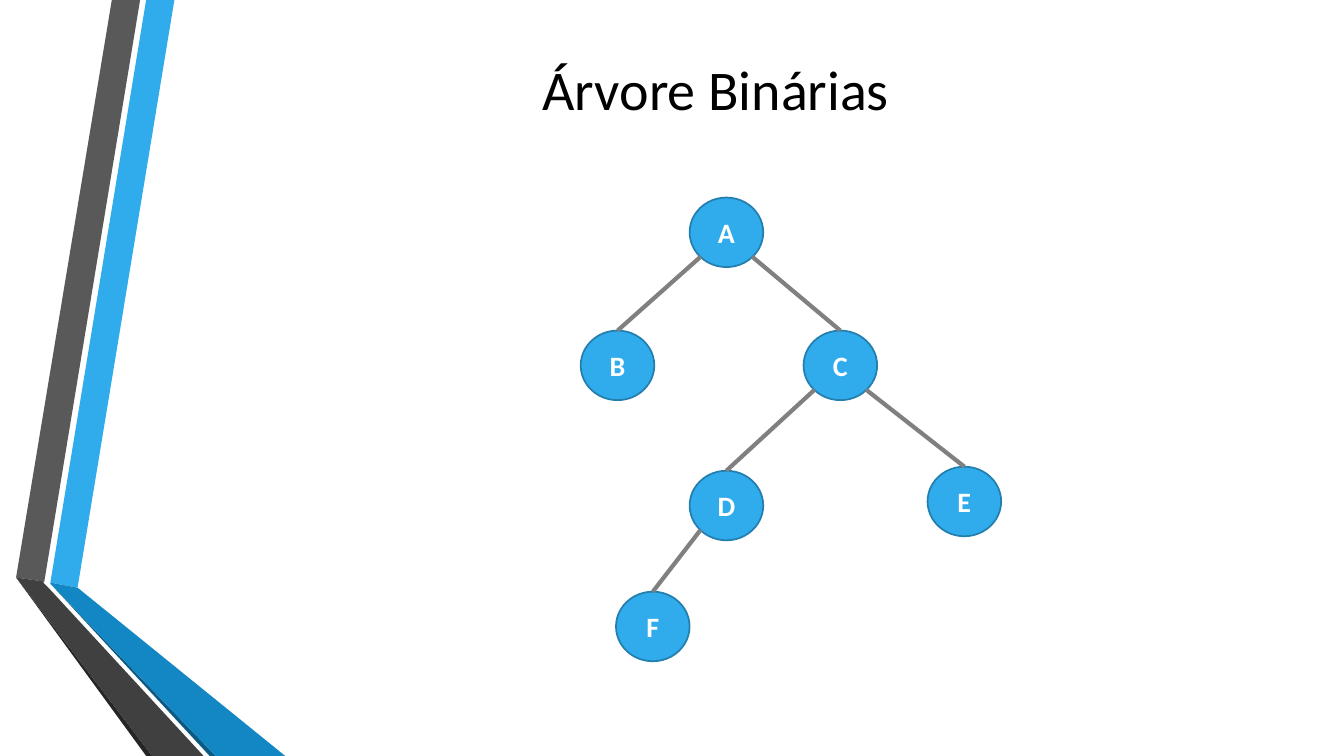
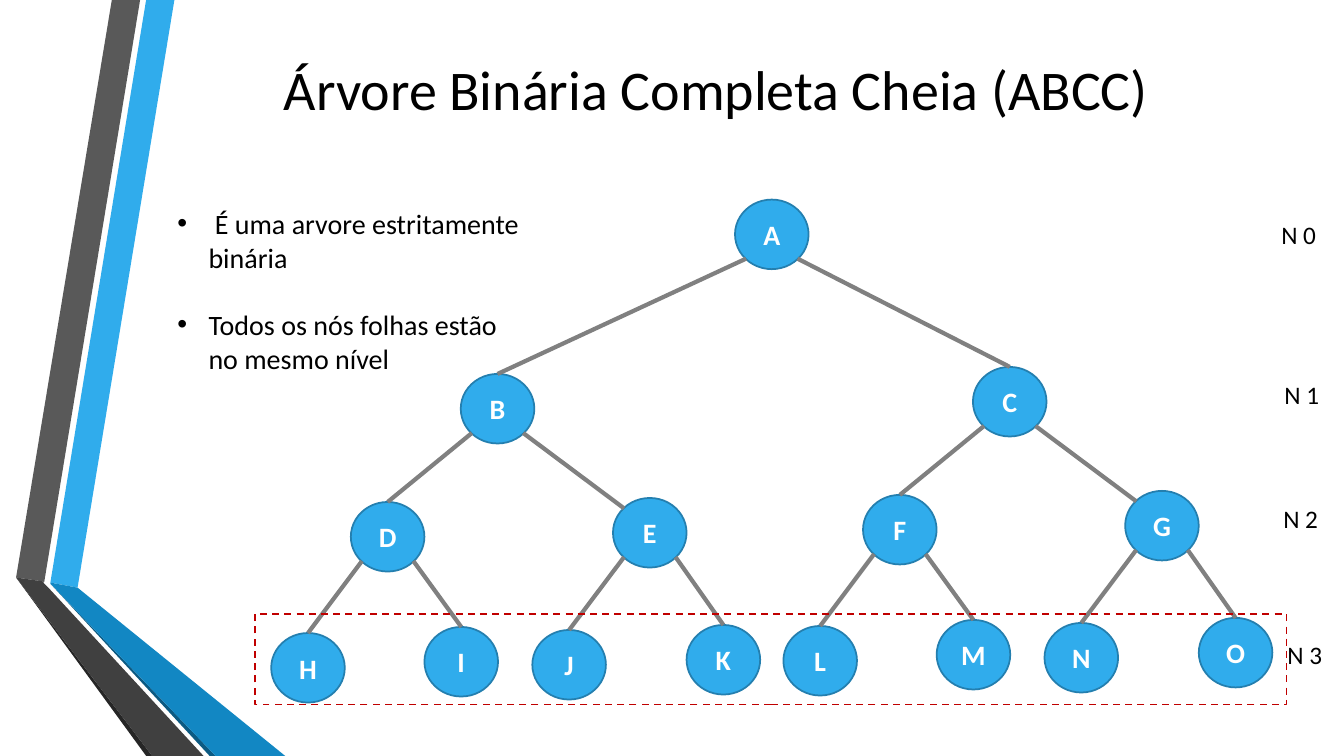
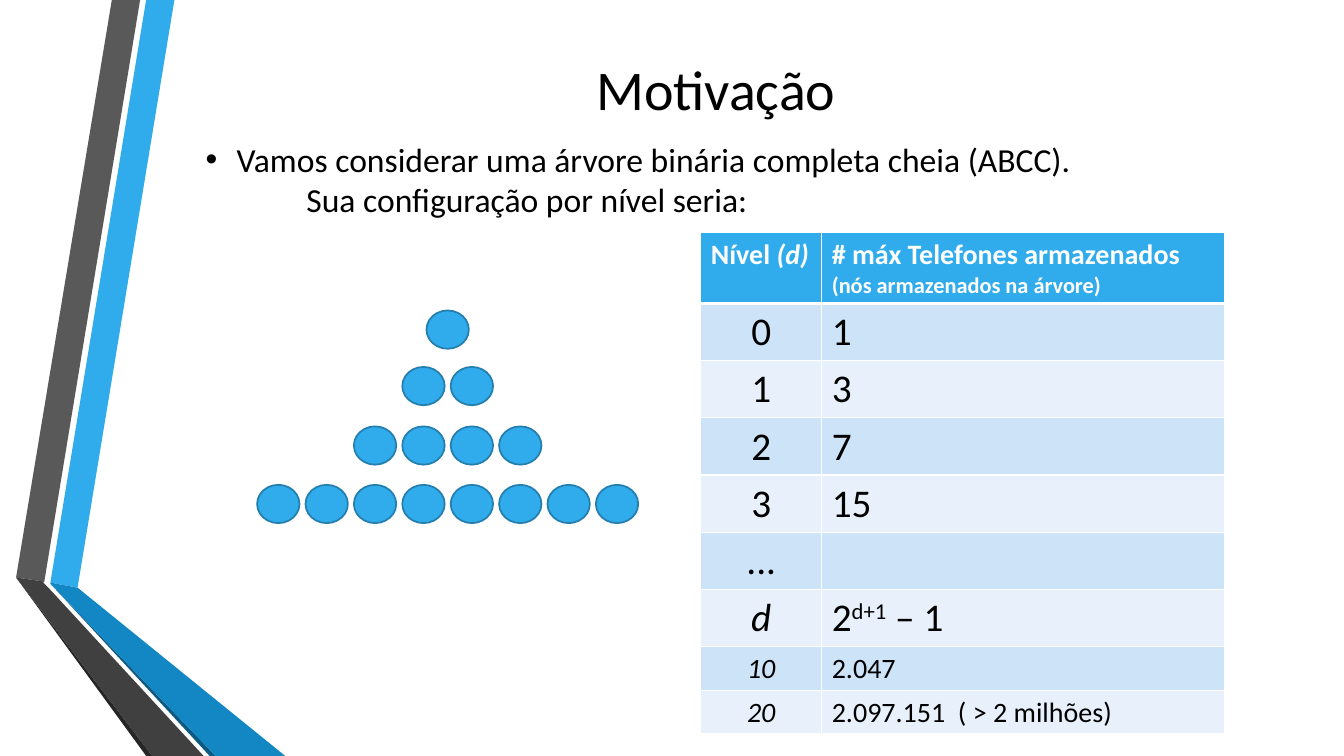
from lxml.etree import SubElement
from pptx import Presentation
from pptx.dml.color import RGBColor
from pptx.enum.dml import MSO_LINE
from pptx.enum.shapes import MSO_CONNECTOR, MSO_SHAPE
from pptx.enum.text import MSO_ANCHOR, PP_ALIGN
from pptx.oxml.ns import qn
from pptx.util import Inches, Pt

FONT = "Calibri"
BLUE, BLUE_EDGE, GRAY = "30ACEC", "247FAF", "808080"
BLACK, WHITE, RED = "000000", "FFFFFF", "C00000"
ROW_FILLS = ["E8F1FB", "CDE3F8"]
NODE_W, NODE_H = 0.73, 0.69
CORNER = 0.35
DOT_W, DOT_H, DOT_STEP = 0.42, 0.38, 0.48
DOT_ROWS = [0, 0.56, 1.15, 1.73]

BANDS = [
    (BLUE, [(0.5, 5.78), (0.77, 5.83), (1.73, 0), (1.45, 0)]),
    ("595959", [(1.39, 0), (1.11, 0), (0.16, 5.73), (0.44, 5.77)]),
    ("262626", [(0.16, 5.73), (1.45, 7.5), (1.51, 7.5)]),
    ("0C5A82", [(0.5, 5.79), (2.08, 7.5), (2.14, 7.5)]),
    ("1287C3", [(0.5, 5.78), (0.5, 5.79), (2.14, 7.5), (2.83, 7.5),
                (0.77, 5.83)]),
    ("404040", [(2.02, 7.5), (0.48, 5.83), (0.43, 5.78), (0.44, 5.77),
                (0.16, 5.73), (1.51, 7.5)]),
]

SMALL_TREE = {"A": (0, 0), "B": (-1.08, 1.32), "C": (1.13, 1.32),
              "D": (0, 2.71), "E": (2.36, 2.67), "F": (-0.73, 3.91)}
HALF_TREE = [(0, 0), (-1.09, 1.27), (1.51, 1.23), (-1.88, 2.57),
             (-0.36, 2.51), (0.71, 2.54), (2.24, 2.49)]
HALVES = [("BDEHIJK", -2.72, 1.73), ("CFGLMNO", 2.36, 1.66)]
LEVELS = [("N 0", 0, 0), ("N 1", 0.03, 1.58), ("N 2", 0.02, 2.81),
          ("N 3", 0.06, 4.16)]

ITALIC = {"italic": True}
LARGE, MEDIUM = {"size": Pt(28)}, {"size": Pt(20)}
HEADER = [
    [[("Nível ", {}), ("(d)", ITALIC)]],
    [[("# máx Telefones armazenados", {})],
     [("(nós armazenados na árvore)", {"size": Pt(16)})]],
]
ROWS = [
    ("0", [("1", {})], LARGE),
    ("1", [("3", {})], LARGE),
    ("2", [("7", {})], LARGE),
    ("3", [("15", {})], LARGE),
    ("...", [], LARGE),
    ("d", [("2", {}), ("d+1", {"baseline": 30000}), (" – 1", {})], LARGE),
    ("10", [("2.047", {})], MEDIUM),
    ("20", [("2.097.151  ( > 2 milhões)", {})], MEDIUM),
]


def rgb(value):
    """Turn a hex string into a colour."""
    return RGBColor.from_string(value)


def add_run(p, text, color=BLACK, baseline=None, **font):
    """Add one formatted run to a paragraph."""
    r = p.add_run()
    r.text = text
    r.font.color.rgb = rgb(color)
    for key, value in {"name": FONT, "bold": False, **font}.items():
        setattr(r.font, key, value)
    if baseline:
        r._r.get_or_add_rPr().set("baseline", str(baseline))


def write(tf, paragraphs, align=PP_ALIGN.LEFT, **base):
    """Fill a text frame with paragraphs made of (text, format) runs."""
    for i, runs in enumerate(paragraphs):
        p = tf.add_paragraph() if i else tf.paragraphs[0]
        p.alignment = align
        for text, font in runs:
            add_run(p, text, **{**base, **font})


def add_text(s, box, lines, wrap=True, anchor=MSO_ANCHOR.TOP, **base):
    """Add a text box with one paragraph for each line."""
    tf = s.shapes.add_textbox(*map(Inches, box)).text_frame
    tf.word_wrap = wrap
    tf.vertical_anchor = anchor
    write(tf, [[(line, {})] for line in lines], **base)
    return tf


def indent(p, left, bullet=False):
    """Indent a paragraph, with a hanging bullet if wanted."""
    pPr = p._p.get_or_add_pPr()
    pPr.set("marL", str(Inches(left)))
    if bullet:
        pPr.set("indent", str(-Inches(left)))
        SubElement(pPr, qn("a:buFont")).set("typeface", "Arial")
        SubElement(pPr, qn("a:buChar")).set("char", "•")


def add_outline(s, kind, box, line, fill=None):
    """Add a preset shape with a thin outline and an optional fill."""
    sp = s.shapes.add_shape(kind, *map(Inches, box))
    sp.shadow.inherit = False
    sp.line.color.rgb = rgb(line)
    sp.line.width = Pt(1.25)
    if fill:
        sp.fill.solid()
        sp.fill.fore_color.rgb = rgb(fill)
    else:
        sp.fill.background()
    return sp


def add_node(s, label, left, top):
    """Add a labelled tree node."""
    sp = add_outline(s, MSO_SHAPE.OVAL, (left, top, NODE_W, NODE_H),
                     BLUE_EDGE, BLUE)
    tf = sp.text_frame
    for side in ("left", "top", "right", "bottom"):
        setattr(tf, f"margin_{side}", 0)
    tf.vertical_anchor = MSO_ANCHOR.MIDDLE
    write(tf, [[(label, {})]], PP_ALIGN.CENTER,
          size=Pt(20), bold=True, color=WHITE)
    return sp


def add_edge(s, parent, child, to_corner):
    """Join a parent's lower corner to its child's top or upper left corner."""
    side = -CORNER if child.left < parent.left else CORNER
    x = parent.left + int(parent.width * (0.5 + side))
    y = parent.top + int(parent.height * (0.5 + CORNER))
    end_x = child.left + int(child.width * (0.5 - CORNER))
    end_y = child.top + int(child.height * (0.5 - CORNER))
    line = s.shapes.add_connector(MSO_CONNECTOR.STRAIGHT, x, y, end_x, end_y)
    if not to_corner:
        line.end_connect(child, 0)
    line.line.color.rgb = rgb(GRAY)
    line.line.width = Pt(3)
    SubElement(line._element.spPr, qn("a:effectLst"))


def add_tree(s, left, top, offsets, edges, corners=()):
    """Draw a tree whose root sits at the given place."""
    nodes = {label: add_node(s, label, left + dx, top + dy)
             for label, (dx, dy) in offsets.items()}
    for edge in edges:
        add_edge(s, nodes[edge[0]], nodes[edge[1]], edge in corners)


def add_pyramid(s, center, top):
    """Draw rows of dots that double in number at each level."""
    for level, dy in enumerate(DOT_ROWS):
        count = 2 ** level
        left = center - ((count - 1) * DOT_STEP + DOT_W) / 2
        for i in range(count):
            box = (left + i * DOT_STEP, top + dy, DOT_W, DOT_H)
            add_outline(s, MSO_SHAPE.OVAL, box, BLUE_EDGE, BLUE)


def style_cell(cell, fill, top, bottom):
    """Give a table cell white borders and a fill."""
    tcPr = cell._tc.get_or_add_tcPr()
    for side, width in {"L": 1, "R": 1, "T": top, "B": bottom}.items():
        ln = SubElement(tcPr, qn(f"a:ln{side}"), w=str(Pt(width)))
        color = SubElement(SubElement(ln, qn("a:solidFill")), qn("a:srgbClr"))
        color.set("val", WHITE)
    cell.fill.solid()
    cell.fill.fore_color.rgb = rgb(fill)


def add_level_table(s, left, top):
    """Draw the table of nodes stored up to each level."""
    widths = [1.2, 4]
    frame = s.shapes.add_table(len(ROWS) + 1, len(widths), Inches(left),
                               Inches(top), Inches(sum(widths)), Inches(4.97))
    table = frame.table
    for column, width in zip(table.columns, widths):
        column.width = Inches(width)
    for row in table.rows:
        row.height = Inches(0.41)
    for cell, paragraphs in zip(table.rows[0].cells, HEADER):
        style_cell(cell, BLUE, 1, 3)
        write(cell.text_frame, paragraphs,
              size=Pt(20), bold=True, color=WHITE)
    for i, (level, total, size) in enumerate(ROWS, 1):
        key, value = table.rows[i].cells
        for cell in (key, value):
            style_cell(cell, ROW_FILLS[i % 2], 3 if i == 1 else 1, 1)
        slant = ITALIC if level in ("d", "10", "20") else {}
        write(key.text_frame, [[(level, slant)]], PP_ALIGN.CENTER, **size)
        write(value.text_frame, [total], **size)


def add_bands(s):
    """Draw the folded bands along the left side."""
    for color, points in BANDS:
        start, *rest = [tuple(map(Inches, point)) for point in points]
        builder = s.shapes.build_freeform(*start)
        builder.add_line_segments(rest, close=True)
        sp = builder.convert_to_shape()
        sp.shadow.inherit = False
        sp.fill.solid()
        sp.fill.fore_color.rgb = rgb(color)
        sp.line.fill.background()


def new_slide(prs, title):
    """Add a blank slide with the side bands and a title."""
    s = prs.slides.add_slide(prs.slide_layouts[6])
    add_bands(s)
    add_text(s, (1.62, -0.09, 10.96, 1.92), [title], anchor=MSO_ANCHOR.MIDDLE,
             align=PP_ALIGN.CENTER, size=Pt(40))
    return s


def binary_tree_slide(prs):
    """Build the slide with a plain binary tree."""
    s = new_slide(prs, "Árvore Binárias")
    add_tree(s, 6.84, 1.96, SMALL_TREE, ["AB", "AC", "CD", "CE", "DF"])


def full_tree_slide(prs):
    """Build the slide with a full tree and its levels."""
    s = new_slide(prs, "Árvore Binária Completa Cheia (ABCC)")
    offsets, edges = {"A": (0, 0)}, []
    for labels, x, y in HALVES:
        offsets.update({label: (x + dx, y + dy)
                        for label, (dx, dy) in zip(labels, HALF_TREE)})
        edges.append("A" + labels[0])
        edges += [labels[(i - 1) // 2] + labels[i]
                  for i in range(1, len(labels))]
    add_tree(s, 7.29, 1.98, offsets, edges, corners=("BE", "CG"))
    tf = add_text(s, (1.66, 2, 3.68, 2.12),
                  [" É uma arvore estritamente binária",
                   "Todos os nós folhas estão no mesmo nível"], size=Pt(20))
    for p in tf.paragraphs:
        indent(p, 0.31, bullet=True)
    tf.paragraphs[1].space_before = Pt(24)
    for label, dx, dy in LEVELS:
        add_text(s, (12.61 + dx, 2.13 + dy, 0.56, 0.4), [label],
                 wrap=False, size=Pt(18))
    leaves = add_outline(s, MSO_SHAPE.RECTANGLE, (2.53, 6.09, 10.23, 0.9), RED)
    leaves.line.dash_style = MSO_LINE.DASH


def motivation_slide(prs):
    """Build the slide that counts nodes for each level."""
    s = new_slide(prs, "Motivação")
    tf = add_text(s, (1.94, 1.33, 10.86, 2.12),
                  ["Vamos considerar uma árvore binária completa cheia (ABCC).",
                   "Sua configuração por nível seria:"], size=Pt(24))
    indent(tf.paragraphs[0], 0.31, bullet=True)
    indent(tf.paragraphs[1], 1)
    add_pyramid(s, 4.44, 3.08)
    add_level_table(s, 6.95, 2.31)


def main():
    """Build and save the presentation."""
    prs = Presentation()
    prs.slide_width, prs.slide_height = Inches(13.33), Inches(7.5)
    for build in (binary_tree_slide, full_tree_slide, motivation_slide):
        build(prs)
    prs.save("out.pptx")


if __name__ == "__main__":
    main()
